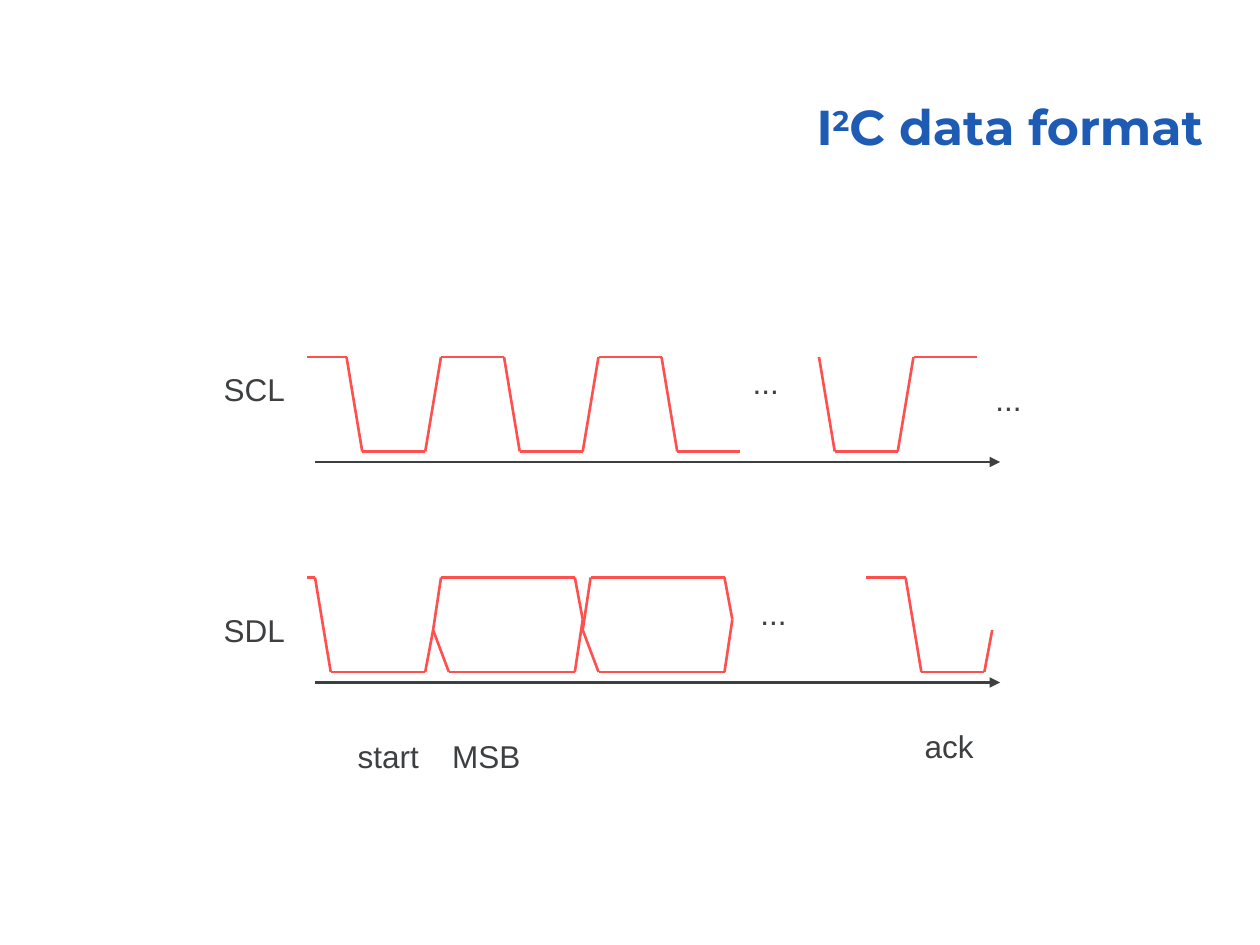
from itertools import pairwise
from lxml.etree import SubElement
from pptx import Presentation
from pptx.dml.color import RGBColor
from pptx.enum.shapes import MSO_CONNECTOR
from pptx.enum.text import MSO_ANCHOR, MSO_AUTO_SIZE, PP_ALIGN
from pptx.oxml.ns import qn
from pptx.util import Pt

PX = 9525  # 96 px to the inch
COLORS = {"title": "1E5BB4", "ink": "3D3F41", "signal": "FF5050"}


def polyline(shapes, points, color="signal", arrow=False):
    """Join the points with straight connectors."""
    for (x1, y1), (x2, y2) in pairwise(points):
        c = shapes.add_connector(MSO_CONNECTOR.STRAIGHT,
                                 x1 * PX, y1 * PX, x2 * PX, y2 * PX)
        c.line.color.rgb = RGBColor.from_string(COLORS[color])
        c.line.width = Pt(1.5)
        spPr = c._element.spPr
        if arrow:
            SubElement(spPr.find(qn("a:ln")), qn("a:tailEnd"), type="triangle")
        SubElement(spPr, qn("a:effectLst"))


def style(r, name, size, color, bold=False):
    r.font.name, r.font.size, r.font.bold = name, Pt(size), bold
    r.font.color.rgb = RGBColor.from_string(COLORS[color])


prs = Presentation()
prs.slide_width, prs.slide_height = 960 * PX, 720 * PX
s = prs.slides.add_slide(prs.slide_layouts[5])

# Title
sp = s.shapes.title
sp.left, sp.top, sp.width, sp.height = 282 * PX, 50 * PX, 644 * PX, 74 * PX
tf = sp.text_frame
tf.vertical_anchor = MSO_ANCHOR.BOTTOM
tf.auto_size = MSO_AUTO_SIZE.NONE
p = tf.paragraphs[0]
p.alignment, p.line_spacing = PP_ALIGN.RIGHT, 0.9
for text in ("I", "2", "C data format"):
    r = p.add_run()
    r.text = text
    style(r, "Montserrat", 28, "title", True)
p.runs[1].font._element.set("baseline", "30000")

# Time axes
for y in (352, 520):
    polyline(s.shapes, [(240, y), (762, y)], "ink", True)

# SCL: idle level, full clock cycles, then a half cycle before the gap
high, low = 272, 344
polyline(s.shapes, [(234, high), (264, high)])
for x in (264, 384, 624):
    cycle = s.shapes.add_group_shape()
    polyline(cycle.shapes, [(x, high), (x + 12, low), (x + 60, low),
                            (x + 72, high), (x + 120, high)])
polyline(s.shapes, [(504, high), (516, low), (564, low)])

# SDL: start condition, data bits, acknowledge
high, low, rise, end = 440, 512, 480, 472
polyline(s.shapes, [(234, high), (240, high), (252, low), (324, low), (330, rise)])
for x in (330, 444):
    bit = s.shapes.add_group_shape()
    polyline(bit.shapes, [(x, rise), (x + 6, high), (x + 108, high), (x + 114, end)])
    polyline(bit.shapes, [(x, rise), (x + 12, low), (x + 108, low), (x + 114, end)])
polyline(s.shapes, [(660, high), (690, high), (702, low), (750, low), (756, rise)])

# Labels
for text, x, y, w in (
    ("SCL", 161, 277, 67), ("SDL", 161, 461, 67),
    ("...", 564, 272, 40), ("...", 749, 285, 40), ("...", 570, 448, 40),
    ("start", 263, 557, 67), ("MSB", 335, 557, 72), ("ack", 695, 549, 58),
):
    tf = s.shapes.add_textbox(x * PX, y * PX, w * PX, 38 * PX).text_frame
    tf.word_wrap = False
    tf.auto_size = MSO_AUTO_SIZE.SHAPE_TO_FIT_TEXT
    tf.text = text
    style(tf.paragraphs[0].runs[0], "Arial", 18, "ink")

prs.save("out.pptx")
